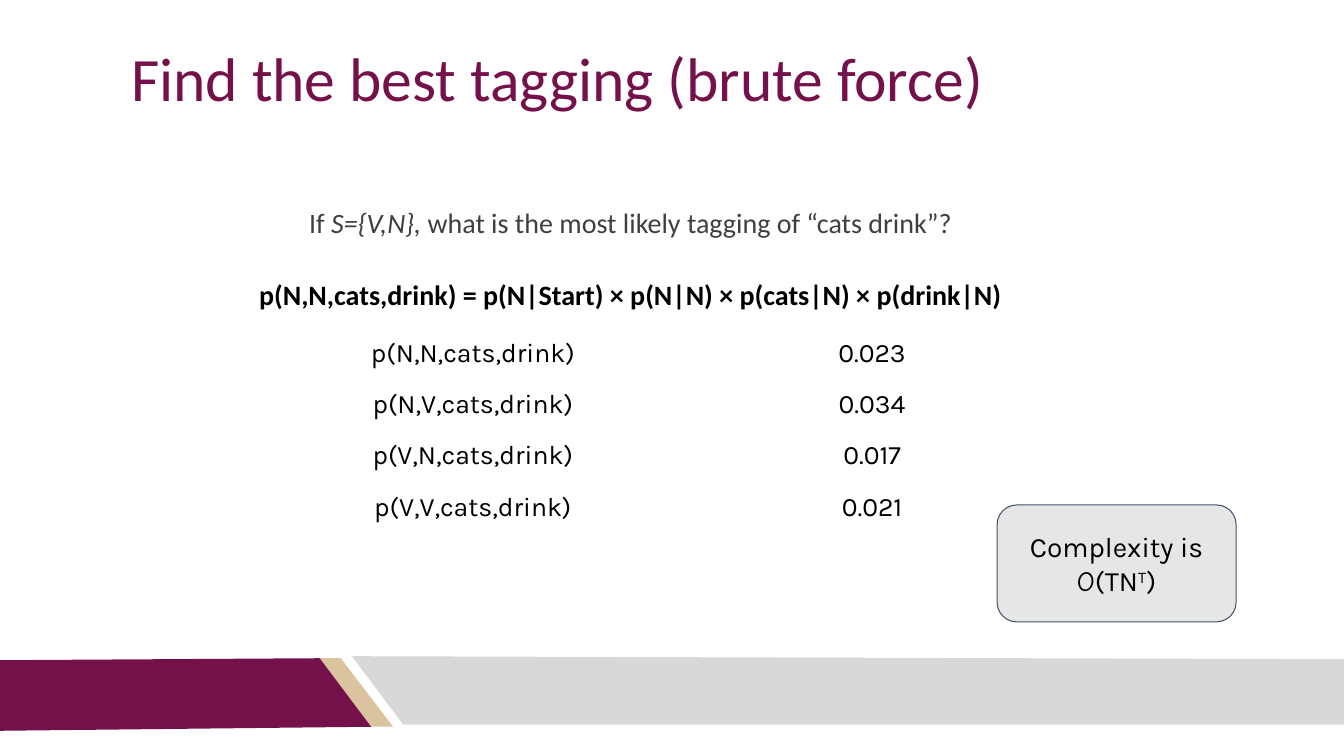
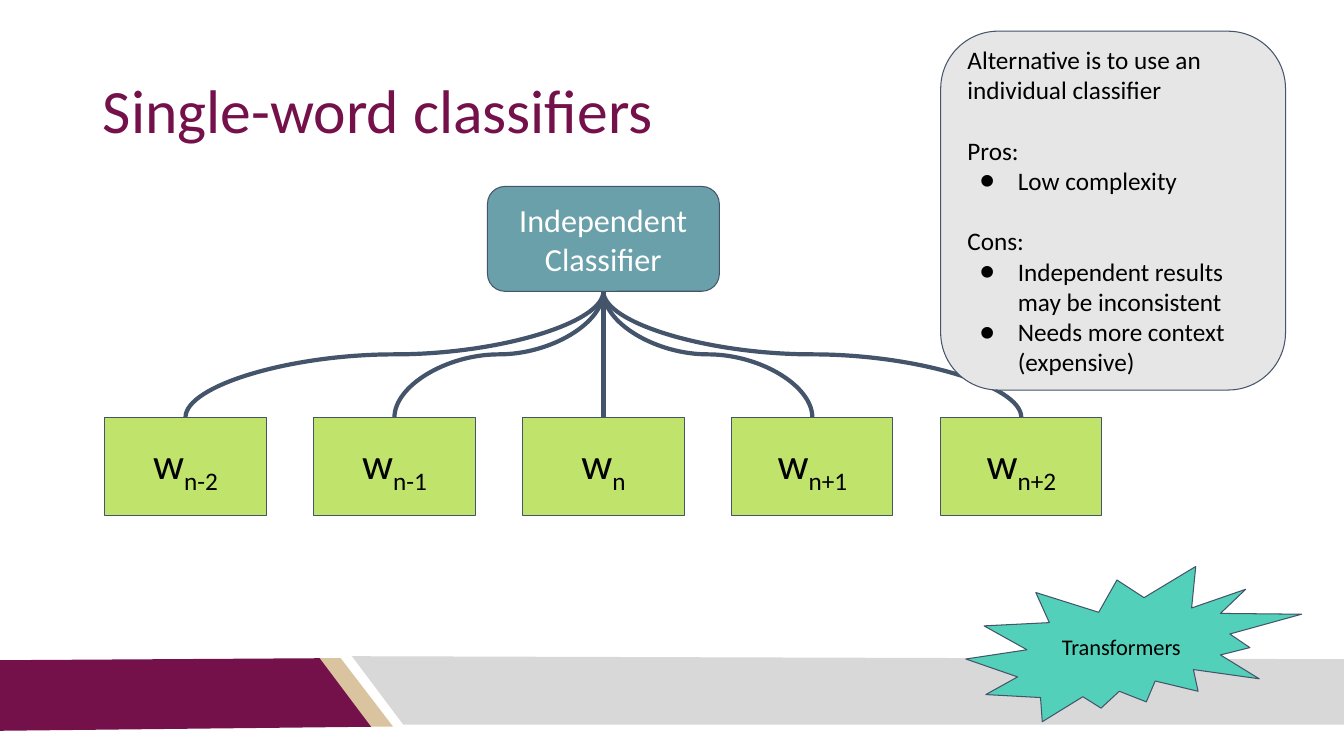
from lxml import etree
from pptx import Presentation
from pptx.dml.color import RGBColor
from pptx.enum.shapes import MSO_CONNECTOR, MSO_SHAPE
from pptx.enum.text import MSO_ANCHOR, MSO_AUTO_SIZE, PP_ALIGN
from pptx.oxml.ns import qn
from pptx.util import Inches, Pt

LEFT, CENTER = PP_ALIGN.LEFT, PP_ALIGN.CENTER
TOP, MIDDLE = MSO_ANCHOR.TOP, MSO_ANCHOR.MIDDLE
RECT, ROUND = MSO_SHAPE.RECTANGLE, MSO_SHAPE.ROUNDED_RECTANGLE
BURST = MSO_SHAPE.EXPLOSION2
CURVE, STRAIGHT = MSO_CONNECTOR.CURVE, MSO_CONNECTOR.STRAIGHT

COLORS = {
    "wine": "75114A", "sand": "D9C49F", "band": "D8D8D8",
    "pale": "E7E6E6", "line": "44546A", "lime": "B0DD46",
    "teal": "39818D", "mint": "52D0B9",
    "black": "000000", "gray": "3F3F3F", "white": "FFFFFF",
}
BANDS = [
    ("sand", [(3.16, 6.53), (3.38, 6.53), (3.9, 7.21), (3.67, 7.21)]),
    ("wine", [(-0.01, 6.55), (3.17, 6.53), (3.68, 7.21), (-0.01, 7.25)]),
    ("band", [(3.49, 6.51), (13.34, 6.54), (13.37, 7.19), (4, 7.19)]),
]
TITLE = {"name": "Calibri", "size": Pt(44), "color": "wine"}
BODY = {"name": "Calibri", "size": Pt(20), "color": "gray"}
KARLA = {"name": "Karla", "size": Pt(20), "color": "black"}
CELL = {**KARLA, "size": Pt(19)}
WORD = {"name": "Calibri", "size": Pt(31), "color": "black"}
ROOT = {"name": "Calibri", "size": Pt(23), "color": "white"}
NOTE = {"name": "Calibri", "size": Pt(18), "color": "black"}
BADGE = {**NOTE, "size": Pt(16)}


def rgb(name):
    return RGBColor.from_string(COLORS[name])


def box_of(box):
    return [Inches(v) for v in box]


# Text
def add_run(par, text, style):
    run = par.add_run()
    run.text = text
    for key, value in style.items():
        if key == "color":
            run.font.color.rgb = rgb(value)
        elif key == "base":
            run.font._element.set("baseline", str(value * 1000))
        else:
            setattr(run.font, key, value)


def add_bullet(par):
    props = par._p.get_or_add_pPr()
    props.set("marL", str(Inches(0.5)))
    props.set("indent", str(Inches(-0.38)))
    tint = etree.SubElement(props, qn("a:buClr"))
    etree.SubElement(tint, qn("a:srgbClr")).set("val", COLORS["black"])
    etree.SubElement(props, qn("a:buFont")).set("typeface", "Calibri")
    etree.SubElement(props, qn("a:buChar")).set("char", "●")


def write(frame, pars, inset=0.1, anchor=MIDDLE, bullets=(), **form):
    """Each paragraph is a list of (text, style) runs."""
    frame.word_wrap = True
    frame.auto_size = MSO_AUTO_SIZE.NONE
    frame.vertical_anchor = anchor
    for side in ("left", "top", "right", "bottom"):
        setattr(frame, f"margin_{side}", Inches(inset))
    for i, runs in enumerate(pars):
        par = frame.add_paragraph() if i else frame.paragraphs[0]
        if i in bullets:
            add_bullet(par)
        for key, value in form.items():
            setattr(par, key, value)
        for text, style in runs:
            add_run(par, text, style)


# Shapes
def add_box(slide, kind, box, fill, pars, alpha=100, **form):
    shape = slide.shapes.add_shape(kind, *box_of(box))
    shape.shadow.inherit = False
    shape.fill.solid()
    shape.fill.fore_color.rgb = rgb(fill)
    if alpha < 100:
        tint = shape.element.spPr.find(qn("a:solidFill"))[0]
        etree.SubElement(tint, qn("a:alpha")).set("val", str(alpha * 1000))
    shape.line.color.rgb = rgb("line")
    shape.line.width = Pt(0.75)
    write(shape.text_frame, pars, **{"alignment": CENTER, **form})
    return shape


def add_link(slide, word, root):
    """Join the top of a word to the bottom of the root."""
    start = word.left + word.width // 2
    end = root.left + root.width // 2
    low, high = word.top, root.top + root.height
    shift, rise = abs(end - start), low - high
    flat = shift < Inches(0.05)
    link = slide.shapes.add_connector(
        STRAIGHT if flat else CURVE, start, low, end, high)
    link.begin_connect(word, 0)
    link.end_connect(root, 2)
    if not flat:
        # A curve leaving upward is a turned sideways curve
        frame = link.element.spPr.find(qn("a:xfrm"))
        for flip in ("flipH", "flipV"):
            frame.attrib.pop(flip, None)
        right = start > end
        frame.set("rot", str((90 if right else 270) * 60000))
        if right:
            frame.set("flipH", "1")
        link.left = (start + end - rise) // 2
        link.top = (low + high - shift) // 2
        link.width, link.height = rise, shift
    link.line.color.rgb = rgb("line")
    link.line.width = Pt(3)
    etree.SubElement(link.element.spPr, qn("a:effectLst"))


# Shared parts
def set_bands(slide, layout):
    """Draw the bottom bands and move them to the layout."""
    for i, (fill, points) in enumerate(BANDS):
        first, *rest = [box_of(point) for point in points]
        pen = slide.shapes.build_freeform(*first)
        pen.add_line_segments(rest, close=True)
        band = pen.convert_to_shape()
        band.shadow.inherit = False
        band.fill.solid()
        band.fill.fore_color.rgb = rgb(fill)
        band.line.fill.background()
        layout.shapes.element.insert(2 + i, band.element)


def set_title(slide, text, box, **form):
    title = slide.shapes.title
    title.left, title.top, title.width, title.height = box_of(box)
    write(title.text_frame, [[(text, TITLE)]],
          alignment=LEFT, line_spacing=0.9, **form)


# Slide 1 regions
def add_query(slide, box):
    text = slide.shapes.add_textbox(*box_of(box)).text_frame
    strong = {**BODY, "color": "black", "bold": True}
    write(text, [
        [("If ", BODY), ("S={V,N}, ", {**BODY, "italic": True}),
         ("what is the most likely tagging of “cats drink”?", BODY)],
        [("p(N,N,cats,drink) = p(N|Start) × p(N|N) × p(cats|N)"
          " × p(drink|N)", strong)],
    ], inset=0.08, anchor=TOP, alignment=CENTER, line_spacing=0.9)
    text.paragraphs[1].space_before = Pt(29.5)


def add_scores(slide, box):
    rows = [("N,N", "0.023"), ("N,V", "0.034"),
            ("V,N", "0.017"), ("V,V", "0.021")]
    table = slide.shapes.add_table(len(rows), 2, *box_of(box)).table
    table.first_row = table.horz_banding = False
    for r, (tags, score) in enumerate(rows):
        for c, text in enumerate((f"p({tags},cats,drink)", score)):
            cell = table.cell(r, c)
            cell.fill.background()
            cell.margin_left = cell.margin_right = Inches(0.07)
            cell.margin_top = cell.margin_bottom = Inches(0.1)
            par = cell.text_frame.paragraphs[0]
            par.alignment = CENTER
            add_run(par, text, CELL)


def add_cost(slide, box):
    add_box(slide, ROUND, box, "pale", [[
        ("Complexity is ", KARLA), ("O", {**KARLA, "name": "Comic Neue"}),
        ("(TN", KARLA), ("T", {**KARLA, "base": 30}), (")", KARLA),
    ]], inset=0.08)


# Slide 2 regions
def add_tree(slide, box):
    left, top, width, height = box
    wide, tall, count = 1.6, 0.97, 5
    step = (width - wide) / (count - 1)
    words = []
    for i, sub in enumerate(("n-2", "n-1", "n", "n+1", "n+2")):
        place = (left + i * step, top + height - tall, wide, tall)
        words.append(add_box(
            slide, RECT, place, "lime",
            [[("w", WORD), (sub, {**WORD, "base": -25})]], alpha=80))
    place = (left + (width - 2.3) / 2, top, 2.3, 1.04)
    root = add_box(slide, ROUND, place, "teal",
                   [[("Independent Classifier", ROOT)]], alpha=75)
    for word in words:
        add_link(slide, word, root)


def add_note(slide, box):
    lines = ["Alternative is to use an individual classifier",
             "Pros:", "Low complexity", "Cons:",
             "Independent results may be inconsistent",
             "Needs more context (expensive)"]
    note = add_box(slide, ROUND, box, "pale",
                   [[(line, NOTE)] for line in lines],
                   alignment=LEFT, bullets=(2, 4, 5))
    for i in (1, 3):
        note.text_frame.paragraphs[i].space_before = Pt(21.6)


def main():
    deck = Presentation()
    deck.slide_width, deck.slide_height = Inches(13.33), Inches(7.5)
    layout = deck.slide_layouts[5]

    force = deck.slides.add_slide(layout)
    set_bands(force, layout)
    set_title(force, "Find the best tagging (brute force)",
              (1.22, 0.4, 11.5, 1.45), inset=0.08, anchor=TOP)
    add_query(force, (2.35, 2, 7.81, 1.2))
    add_scores(force, (2.71, 3.25, 7.92, 2.04))
    add_cost(force, (9.89, 5.01, 2.37, 1.16))

    single = deck.slides.add_slide(layout)
    set_title(single, "Single-word classifiers", (0.92, 0.4, 11.5, 1.45))
    add_tree(single, (1.04, 1.85, 9.89, 3.26))
    add_note(single, (9.33, 0.31, 3.42, 3.56))
    add_box(single, BURST, (9.58, 5.62, 3.33, 1.54), "mint",
            [[("Transformers", BADGE)]])

    deck.save("out.pptx")


if __name__ == "__main__":
    main()
